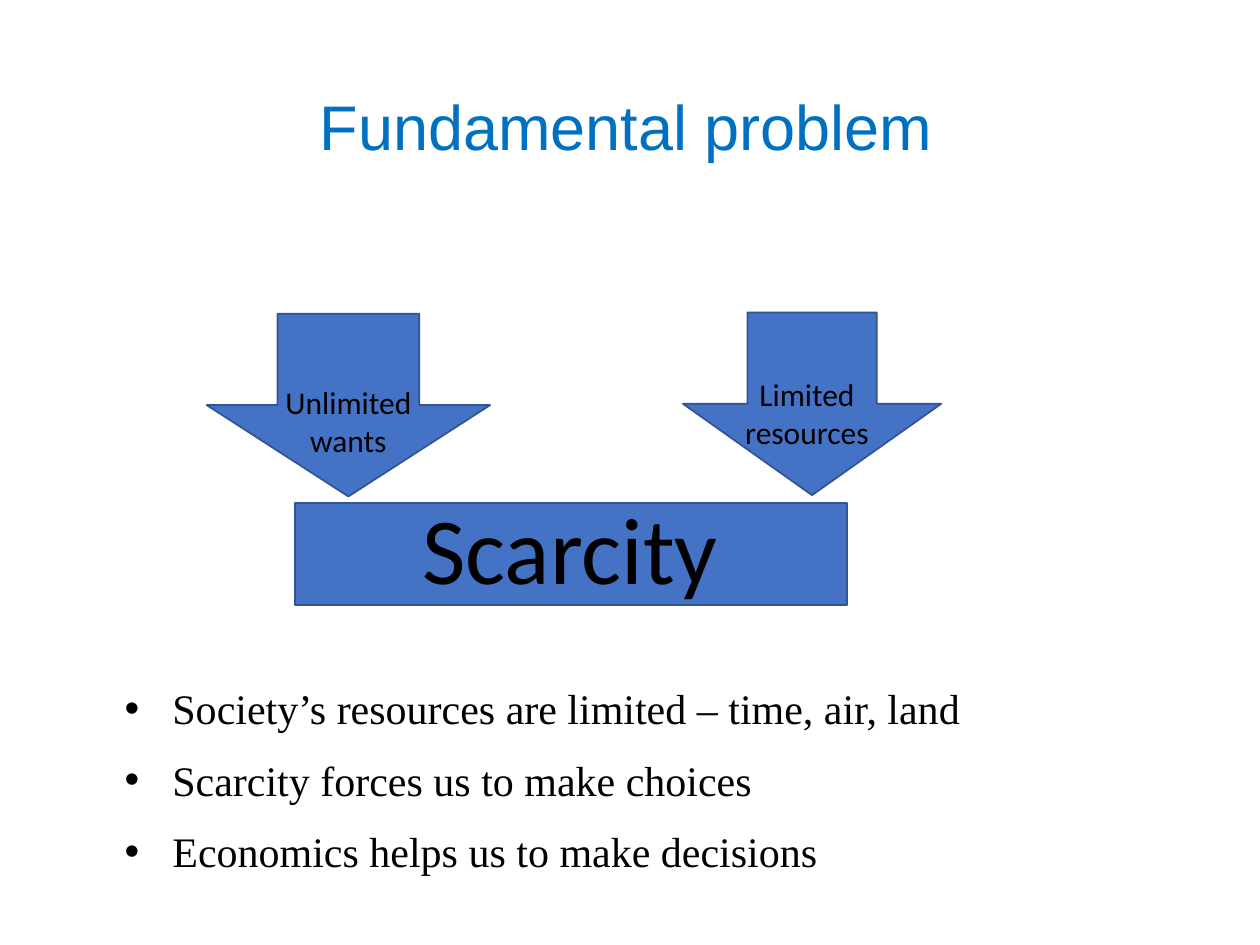
import pptx
import pptx.util
import pptx.dml.color
import pptx.enum.shapes
import pptx.enum.text
import pptx.oxml
import pptx.oxml.ns

Inches = pptx.util.Inches
Pt = pptx.util.Pt
SHAPES = pptx.enum.shapes.MSO_SHAPE
ALIGN = pptx.enum.text.PP_ALIGN
ANCHOR = pptx.enum.text.MSO_ANCHOR


def color(hex_value):
    return pptx.dml.color.RGBColor.from_string(hex_value)


def add_bullet(paragraph, indent):
    properties = paragraph._p.get_or_add_pPr()
    properties.set("marL", str(Inches(indent)))
    properties.set("indent", str(-Inches(indent)))
    namespace = pptx.oxml.ns.nsdecls("a")
    for tag in ('buFont typeface="Arial"', 'buChar char="•"'):
        properties.append(pptx.oxml.parse_xml(f"<a:{tag} {namespace}/>"))


def add_text(slide, box, text, font="Calibri", size=18, ink="000000",
             align=ALIGN.CENTER, anchor=ANCHOR.TOP, line_spacing=None,
             space_after=None, bullet_indent=None):
    frame = slide.shapes.add_textbox(*map(Inches, box)).text_frame
    frame.word_wrap = True
    frame.vertical_anchor = anchor
    frame.text = text
    for paragraph in frame.paragraphs:
        paragraph.alignment = align
        if line_spacing:
            paragraph.line_spacing = line_spacing
        if space_after:
            paragraph.space_after = Pt(space_after)
        if bullet_indent:
            add_bullet(paragraph, bullet_indent)
        for run in paragraph.runs:
            run.font.name = font
            run.font.size = Pt(size)
            run.font.color.rgb = color(ink)


def add_block(slide, preset, box):
    block = slide.shapes.add_shape(preset, *map(Inches, box))
    block.shadow.inherit = False
    block.fill.solid()
    block.fill.fore_color.rgb = color("4472C4")
    block.line.color.rgb = color("325491")
    block.line.width = Pt(1)


def add_title(slide, box):
    add_text(slide, box, "Fundamental problem", font="Arial", size=36,
             ink="0070C0", anchor=ANCHOR.MIDDLE, line_spacing=0.9)


def add_cause(slide, box, label, label_offset):
    left, top, width, height = box
    dx, dy = label_offset
    add_block(slide, SHAPES.DOWN_ARROW, box)
    add_text(slide, (left + dx, top + dy, 1.25, 0.71), label)


def add_scarcity(slide, box):
    left, top, width, height = box
    add_block(slide, SHAPES.RECTANGLE, box)
    add_text(slide, (left - 0.48, top - 0.15, width + 0.95, height + 0.2),
             "Scarcity", size=54)


def add_conclusions(slide, box):
    conclusions = (
        "Society’s resources are limited – time, air, land",
        "Scarcity forces us to make choices",
        "Economics helps us to make decisions",
    )
    add_text(slide, box, "\n".join(conclusions), font="Times New Roman",
             size=24, align=ALIGN.LEFT, space_after=12, bullet_indent=0.38)


def main():
    deck = pptx.Presentation()
    deck.slide_width = Inches(10)
    deck.slide_height = Inches(7.5)
    slide = deck.slides.add_slide(deck.slide_layouts[6])
    add_title(slide, (0.66, 0.31, 8.62, 1.45))
    add_cause(slide, (1.64, 2.49, 2.25, 1.45), "Unlimited wants", (0.5, 0.5))
    add_cause(slide, (5.42, 2.48, 2.05, 1.45), "Limited resources", (0.36, 0.45))
    add_scarcity(slide, (2.34, 3.99, 4.38, 0.81))
    add_conclusions(slide, (0.89, 5.37, 7.69, 1.65))
    deck.save("out.pptx")


if __name__ == "__main__":
    main()
